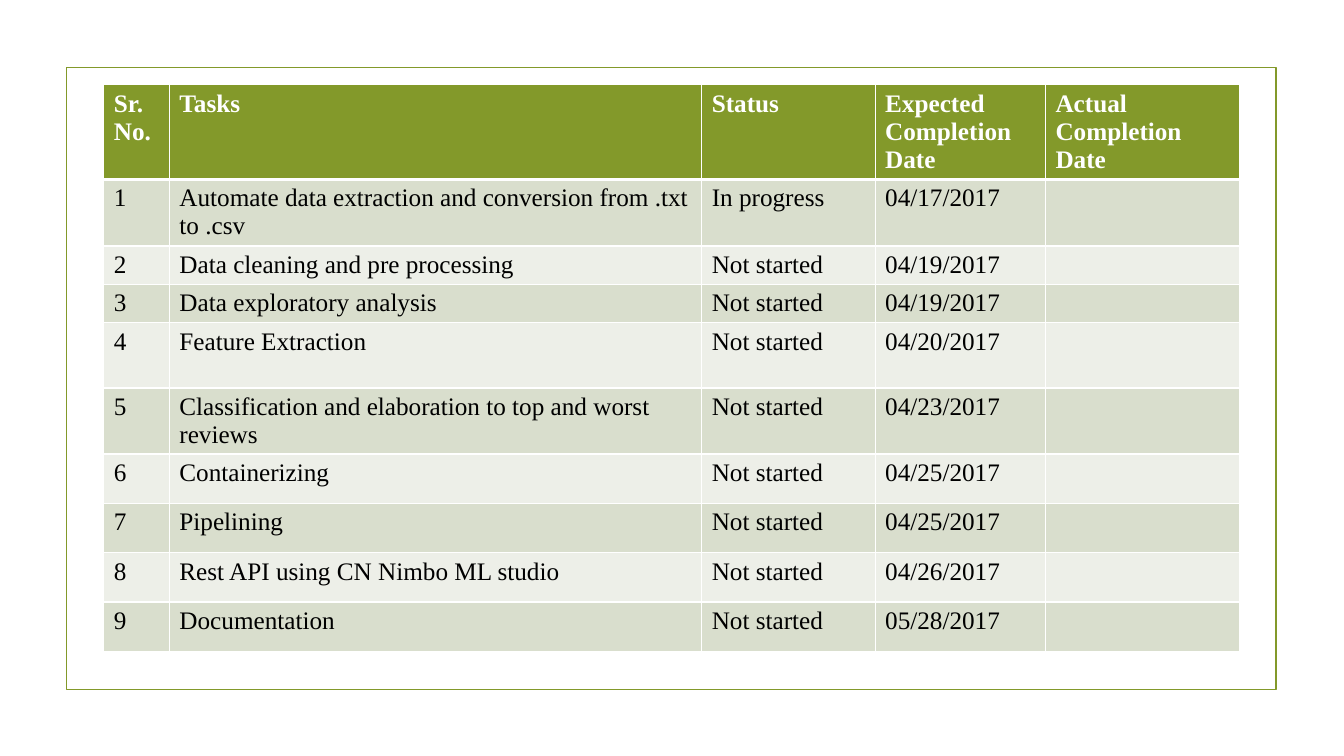
from dataclasses import dataclass

import pptx
import pptx.dml.color
import pptx.enum.shapes
import pptx.oxml
import pptx.oxml.ns
import pptx.util

Inches = pptx.util.Inches
Pt = pptx.util.Pt
Color = pptx.dml.color.RGBColor.from_string


@dataclass(frozen=True)
class Theme:
    """Colours, font and sizes shared by the slide."""
    accent: str = "83992A"
    odd_band: str = "D9DECD"
    even_band: str = "EDEFE8"
    light: str = "FFFFFF"
    dark: str = "000000"
    font: str = "Times New Roman"
    text_size: int = 18
    frame_width: float = 1.25
    grid_width: int = 1
    header_rule: int = 3


THEME = Theme()
HEADERS = ["Sr. No.", "Tasks", "Status", "Expected Completion Date", "Actual Completion Date"]
TASKS = [
    ("Automate data extraction and conversion from .txt to .csv", "In progress", "04/17/2017"),
    ("Data cleaning and pre processing", "Not started", "04/19/2017"),
    ("Data exploratory analysis", "Not started", "04/19/2017"),
    ("Feature Extraction", "Not started", "04/20/2017"),
    ("Classification and elaboration to top and worst reviews", "Not started", "04/23/2017"),
    ("Containerizing", "Not started", "04/25/2017"),
    ("Pipelining", "Not started", "04/25/2017"),
    ("Rest API using CN Nimbo ML studio", "Not started", "04/26/2017"),
    ("Documentation", "Not started", "05/28/2017"),
]
COLUMN_WIDTHS = [0.65, 5.28, 1.72, 1.69, 1.93]
ROW_HEIGHTS = [0.94, 0.66, 0.38, 0.38, 0.65, 0.65] + [0.49] * 4


def add_frame(page, left, top, width, height):
    """Draw the outlined frame around the content."""
    frame = page.shapes.add_shape(
        pptx.enum.shapes.MSO_SHAPE.RECTANGLE,
        Inches(left), Inches(top), Inches(width), Inches(height))
    frame.shadow.inherit = False
    frame.fill.background()
    frame.line.color.rgb = Color(THEME.accent)
    frame.line.width = Pt(THEME.frame_width)


def set_borders(cell, bottom_width):
    """Give a cell light borders with a chosen bottom width."""
    properties = cell._tc.get_or_add_tcPr()
    sides = {side: THEME.grid_width for side in ("lnL", "lnR", "lnT")}
    sides["lnB"] = bottom_width
    for position, (side, width) in enumerate(sides.items()):
        border = pptx.oxml.parse_xml(
            f'<a:{side} {pptx.oxml.ns.nsdecls("a")} w="{Pt(width)}"><a:solidFill>'
            f'<a:srgbClr val="{THEME.light}"/></a:solidFill></a:{side}>')
        properties.insert(position, border)


def fill_cell(cell, text, fill, color, bold):
    """Write and colour one table cell."""
    cell.fill.solid()
    cell.fill.fore_color.rgb = Color(fill)
    para = cell.text_frame.paragraphs[0]
    if text:
        span = para.add_run()
        span.text = text
        span.font.name = THEME.font
        span.font.size = Pt(THEME.text_size)
        span.font.bold = bold
        span.font.color.rgb = Color(color)
    else:
        para._p.append(pptx.oxml.parse_xml(
            f'<a:endParaRPr {pptx.oxml.ns.nsdecls("a")} sz="{THEME.text_size * 100}">'
            f'<a:latin typeface="{THEME.font}"/></a:endParaRPr>'))


def add_task_table(page, left, top, width, height):
    """Build the task schedule with a header and banded rows."""
    rows = [HEADERS] + [[str(number), *task, ""] for number, task in enumerate(TASKS, 1)]
    table = page.shapes.add_table(
        len(rows), len(HEADERS),
        Inches(left), Inches(top), Inches(width), Inches(height)).table
    for column, column_width in zip(table.columns, COLUMN_WIDTHS):
        column.width = Inches(column_width)
    for index, texts in enumerate(rows):
        table.rows[index].height = Inches(ROW_HEIGHTS[index])
        header = index == 0
        band = THEME.odd_band if index % 2 else THEME.even_band
        fill = THEME.accent if header else band
        color = THEME.light if header else THEME.dark
        for cell, text in zip(table.rows[index].cells, texts):
            fill_cell(cell, text, fill, color, header)
            set_borders(cell, THEME.header_rule if header else THEME.grid_width)


def main():
    """Create and save the schedule slide."""
    deck = pptx.Presentation()
    deck.slide_width = Inches(13.33)
    deck.slide_height = Inches(7.5)
    page = deck.slides.add_slide(deck.slide_layouts[6])
    add_frame(page, 0.66, 0.67, 12, 6.17)
    add_task_table(page, 1.03, 0.84, sum(COLUMN_WIDTHS), sum(ROW_HEIGHTS))
    deck.save("out.pptx")


if __name__ == "__main__":
    main()
